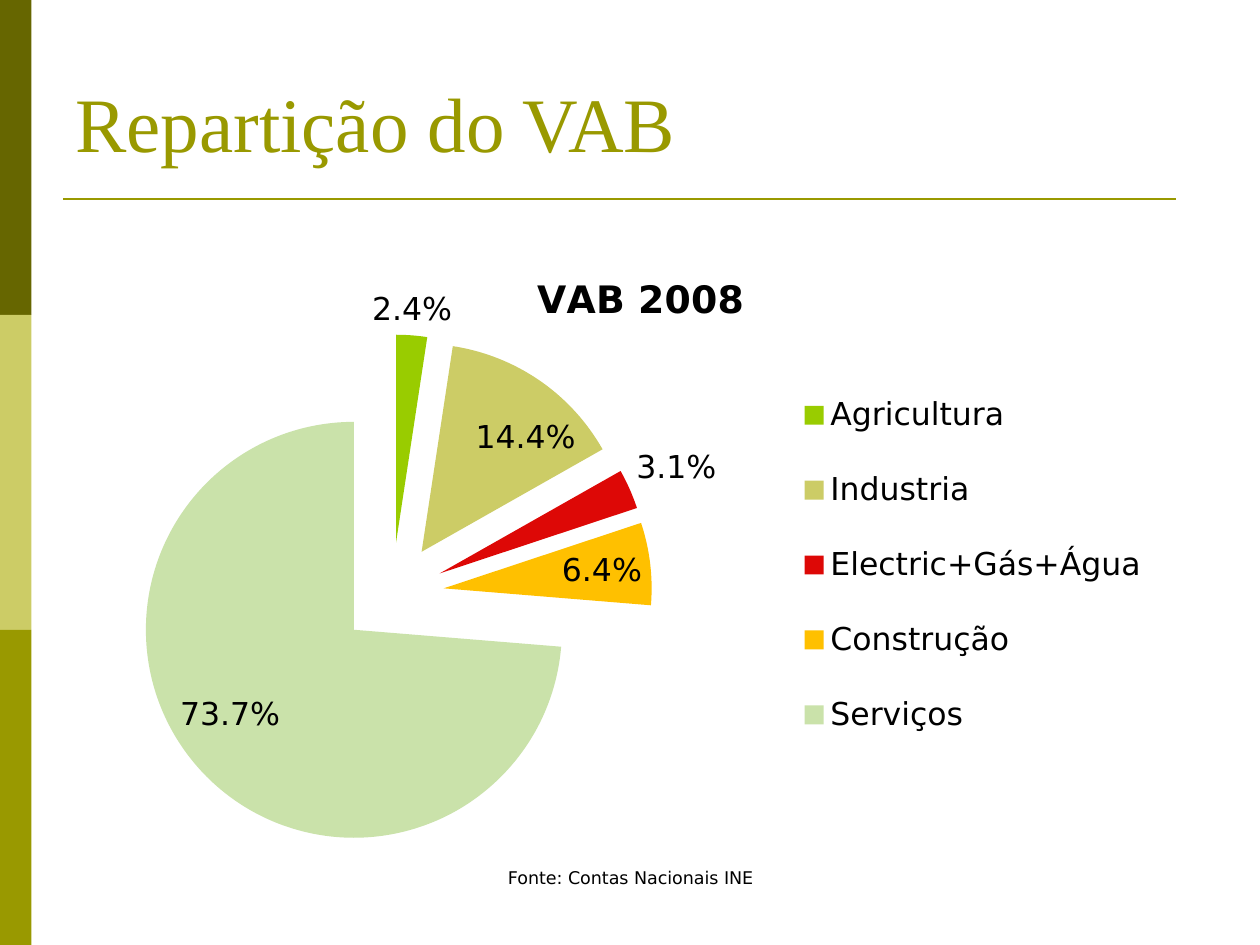
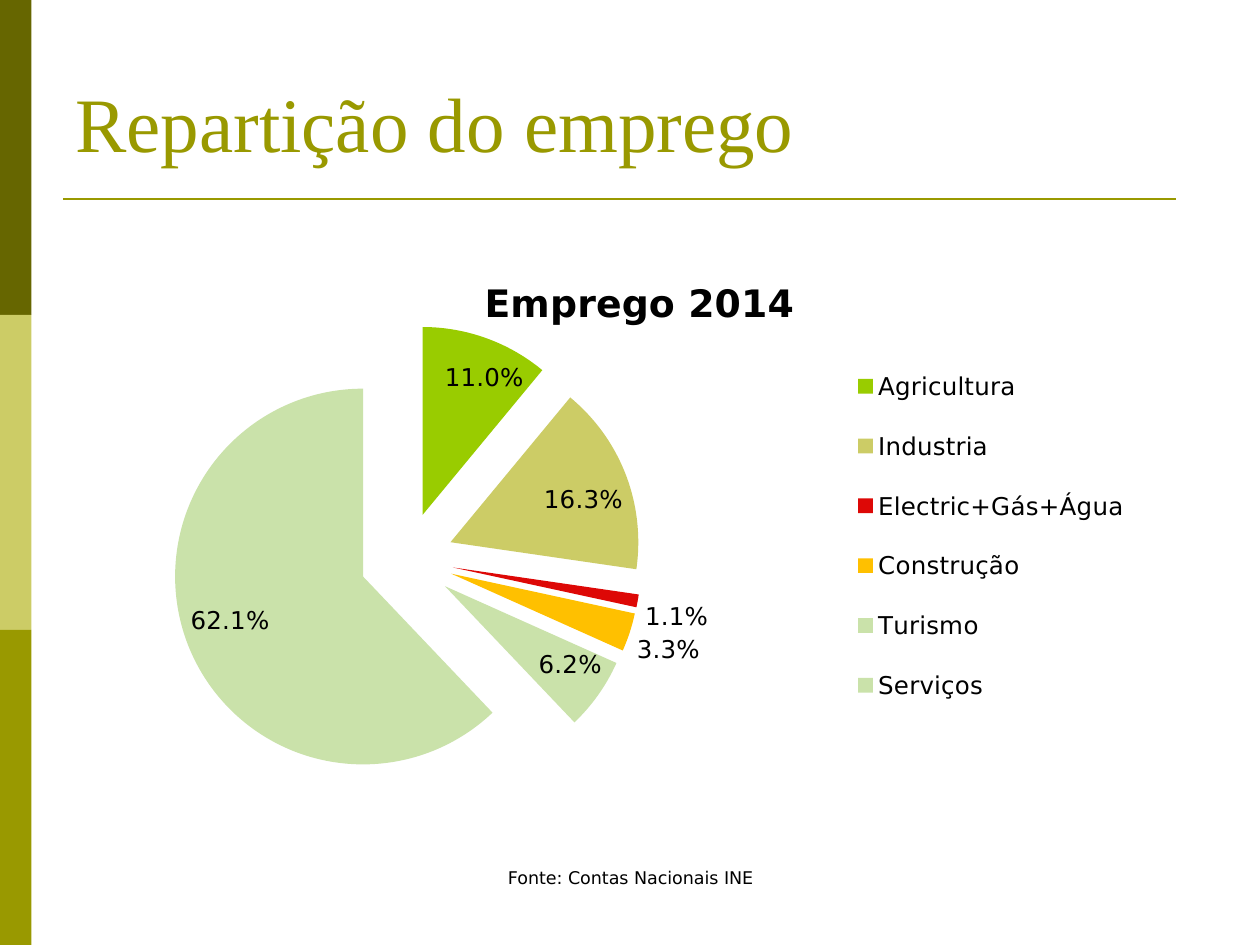
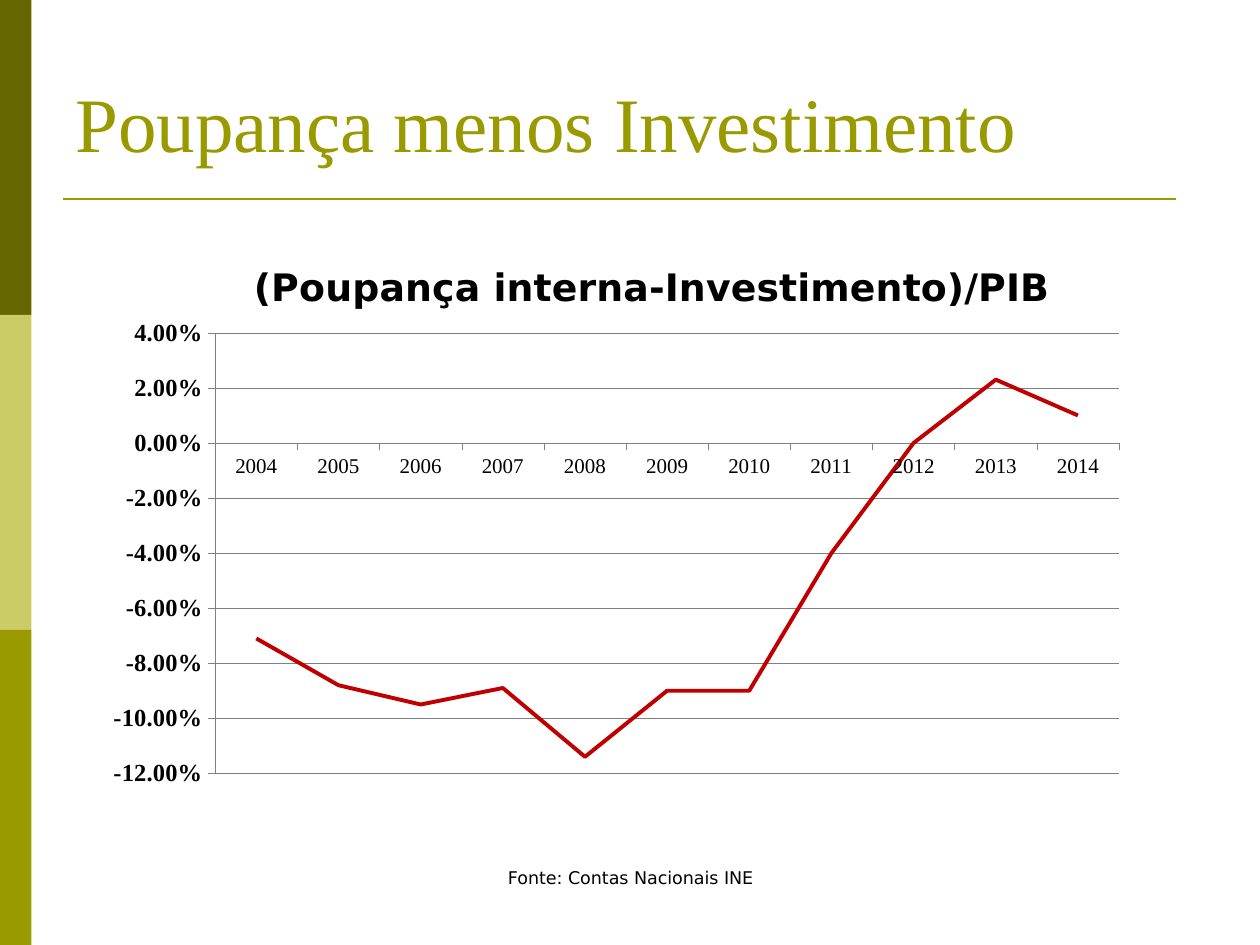
import pptx
import pptx.chart.data
import pptx.dml.color
import pptx.enum.chart
import pptx.enum.shapes
import pptx.enum.text
import pptx.oxml
import pptx.oxml.ns
import pptx.util
from pptx.util import Inches, Pt

COLORS = {
    "dark olive": "666600", "pale olive": "CCCC66", "olive": "999900",
    "green": "99CC00", "red": "DD0806", "amber": "FFC000", "mint": "CAE2AA",
    "crimson": "C00000", "gray": "808080", "black": "000000",
}
HEADING_FONT = "Times New Roman"
BODY_FONT = "DejaVu Sans"
BANDS = ["dark olive", "pale olive", "olive"]
SOURCE = "Fonte: Contas Nacionais INE"

SECTOR_COLORS = {
    "Agricultura": "green", "Industria": "pale olive", "Electric+Gás+Água": "red",
    "Construção": "amber", "Turismo": "mint", "Serviços": "mint",
}
PIES = [
    {
        "heading": "Repartição do VAB", "title": "VAB 2008",
        "shares": {"Agricultura": 2.4, "Industria": 14.4, "Electric+Gás+Água": 3.1,
                   "Construção": 6.4, "Serviços": 73.7},
        "box": (0.61, 1.86, 8.78, 5.2), "size": 18,
        "title_at": (0.41, 0.05), "plot_at": (0.05, 0.15, 0.47, 0.8),
        "legend_at": (0.65, 0.19, 0.32, 0.63),
    },
    {
        "heading": "Repartição do emprego", "title": "Emprego 2014",
        "shares": {"Agricultura": 11, "Industria": 16.3, "Electric+Gás+Água": 1.1,
                   "Construção": 3.3, "Turismo": 6.2, "Serviços": 62.1},
        "box": (0.67, 1.92, 8.67, 4.62), "size": 14,
        "title_at": (0.36, 0.05), "plot_at": (0.08, 0.14, 0.43, 0.81),
        "legend_at": (0.7, 0.17, 0.26, 0.67),
    },
]
BALANCE = {
    "heading": "Poupança menos Investimento", "title": "(Poupança interna-Investimento)/PIB",
    "first_year": 2004,
    "values": [-0.071, -0.088, -0.095, -0.089, -0.114, -0.09, -0.09, -0.04, 0, 0.023, 0.01],
    "box": (0.78, 1.78, 8.44, 4.79),
    "title_at": (0.14, 0.05), "plot_at": (0.11, 0.18, 0.85, 0.73),
}


def rgb(name):
    return pptx.dml.color.RGBColor.from_string(COLORS[name])


def style_font(font, size, face=BODY_FONT, color="black", bold=False):
    font.size = Pt(size)
    font.name = face
    font.bold = bold
    font.color.rgb = rgb(color)


def style_line(line, color, width):
    line.color.rgb = rgb(color)
    line.width = Pt(width)


def add_text(slide, text, box, size, face, color, align, anchor):
    frame = slide.shapes.add_textbox(*map(Inches, box)).text_frame
    frame.word_wrap = True
    frame.vertical_anchor = anchor
    paragraph = frame.paragraphs[0]
    paragraph.alignment = align
    run = paragraph.add_run()
    run.text = text
    style_font(run.font, size, face, color)


def add_base_slide(prs, heading):
    slide = prs.slides.add_slide(prs.slide_layouts[6])
    height = 7.5 / len(BANDS)
    for row, color in enumerate(BANDS):
        band = slide.shapes.add_shape(
            pptx.enum.shapes.MSO_SHAPE.RECTANGLE,
            0, Inches(row * height), Inches(0.25), Inches(height))
        band.shadow.inherit = False
        band.fill.solid()
        band.fill.fore_color.rgb = rgb(color)
        band.line.fill.background()
    rule = slide.shapes.add_connector(
        pptx.enum.shapes.MSO_CONNECTOR.STRAIGHT,
        Inches(0.5), Inches(1.58), Inches(9.33), Inches(1.58))
    style_line(rule.line, "olive", 1.5)
    rule._element.spPr.append(pptx.oxml.parse_xml(
        f'<a:effectLst {pptx.oxml.ns.nsdecls("a")}/>'))
    add_text(slide, heading, (0.5, 0.13, 9, 1.25), 44, HEADING_FONT, "olive",
             pptx.enum.text.PP_ALIGN.LEFT, pptx.enum.text.MSO_ANCHOR.BOTTOM)
    add_text(slide, SOURCE, (3.42, 6.83, 3.17, 0.5), 10, BODY_FONT, "black",
             pptx.enum.text.PP_ALIGN.CENTER, pptx.enum.text.MSO_ANCHOR.TOP)
    return slide


def set_layout(parent, index, place, inner=False):
    for old in parent.findall(pptx.oxml.ns.qn("c:layout")):
        parent.remove(old)
    target = '<c:layoutTarget val="inner"/>' if inner else ""
    modes = "".join(f'<c:{axis}Mode val="edge"/>' for axis in "xy")
    sizes = "".join(f'<c:{key} val="{value}"/>' for key, value in zip("xywh", place))
    parent.insert(index, pptx.oxml.parse_xml(
        f'<c:layout {pptx.oxml.ns.nsdecls("c")}><c:manualLayout>'
        f'{target}{modes}{sizes}</c:manualLayout></c:layout>'))


def add_titled_chart(slide, kind, content, categories, series_name, values, number_format):
    data = pptx.chart.data.CategoryChartData(number_format=number_format)
    data.categories = categories
    data.add_series(series_name, values)
    chart = slide.shapes.add_chart(kind, *map(Inches, content["box"]), data).chart
    style_font(chart.font, 18)
    chart.has_title = True
    run = chart.chart_title.text_frame.paragraphs[0].add_run()
    run.text = content["title"]
    style_font(run.font, 21.6, bold=True)
    set_layout(chart.chart_title._element, 1, content["title_at"])
    set_layout(chart._chartSpace.chart.plotArea, 0, content["plot_at"], inner=True)
    chart.has_legend = False
    return chart


def add_pie_slide(prs, pie):
    slide = add_base_slide(prs, pie["heading"])
    shares = pie["shares"]
    chart = add_titled_chart(slide, pptx.enum.chart.XL_CHART_TYPE.PIE, pie,
                             list(shares), pie["title"], list(shares.values()), "General")
    plot = chart.plots[0]
    plot.vary_by_categories = True
    sectors = plot.series[0]
    for index, name in enumerate(shares):
        slice_format = sectors.points[index].format
        slice_format.fill.solid()
        slice_format.fill.fore_color.rgb = rgb(SECTOR_COLORS[name])
        slice_format.line.fill.background()
    sectors._element.find(pptx.oxml.ns.qn("c:dPt")).addprevious(pptx.oxml.parse_xml(
        f'<c:explosion {pptx.oxml.ns.nsdecls("c")} val="25"/>'))

    plot.has_data_labels = True
    labels = plot.data_labels
    labels.show_value = False
    labels.show_percentage = True
    labels.number_format = "0.0%"
    labels.number_format_is_linked = False
    labels.position = pptx.enum.chart.XL_LABEL_POSITION.BEST_FIT
    style_font(labels.font, pie["size"])

    chart.has_legend = True
    chart.legend.position = pptx.enum.chart.XL_LEGEND_POSITION.RIGHT
    chart.legend.include_in_layout = False
    style_font(chart.legend.font, pie["size"])
    set_layout(chart.legend._element, 1, pie["legend_at"])


def add_balance_slide(prs, balance):
    slide = add_base_slide(prs, balance["heading"])
    years = [str(balance["first_year"] + step) for step in range(len(balance["values"]))]
    chart = add_titled_chart(slide, pptx.enum.chart.XL_CHART_TYPE.LINE, balance,
                             years, "Series 1", balance["values"], "0.00%")
    chart.plots[0].vary_by_categories = False
    savings = chart.plots[0].series[0]
    savings.smooth = False
    savings.marker.style = pptx.enum.chart.XL_MARKER_STYLE.NONE
    style_line(savings.format.line, "crimson", 2.25)

    for axis, size, bold in ((chart.category_axis, 12, False), (chart.value_axis, 14, True)):
        axis.major_tick_mark = pptx.enum.chart.XL_TICK_MARK.OUTSIDE
        axis.minor_tick_mark = pptx.enum.chart.XL_TICK_MARK.NONE
        style_line(axis.format.line, "gray", 0.25)
        style_font(axis.tick_labels.font, size, HEADING_FONT, bold=bold)
    percent_axis = chart.value_axis
    percent_axis.minimum_scale = -0.12
    percent_axis.maximum_scale = 0.04
    percent_axis.major_unit = 0.02
    percent_axis.has_major_gridlines = True
    style_line(percent_axis.major_gridlines.format.line, "gray", 0.25)
    percent_axis.tick_labels.number_format = "0.00%"
    percent_axis.tick_labels.number_format_is_linked = False


def main():
    prs = pptx.Presentation()
    prs.slide_width = Inches(10)
    prs.slide_height = Inches(7.5)
    for pie in PIES:
        add_pie_slide(prs, pie)
    add_balance_slide(prs, BALANCE)
    prs.save("out.pptx")


if __name__ == "__main__":
    main()
